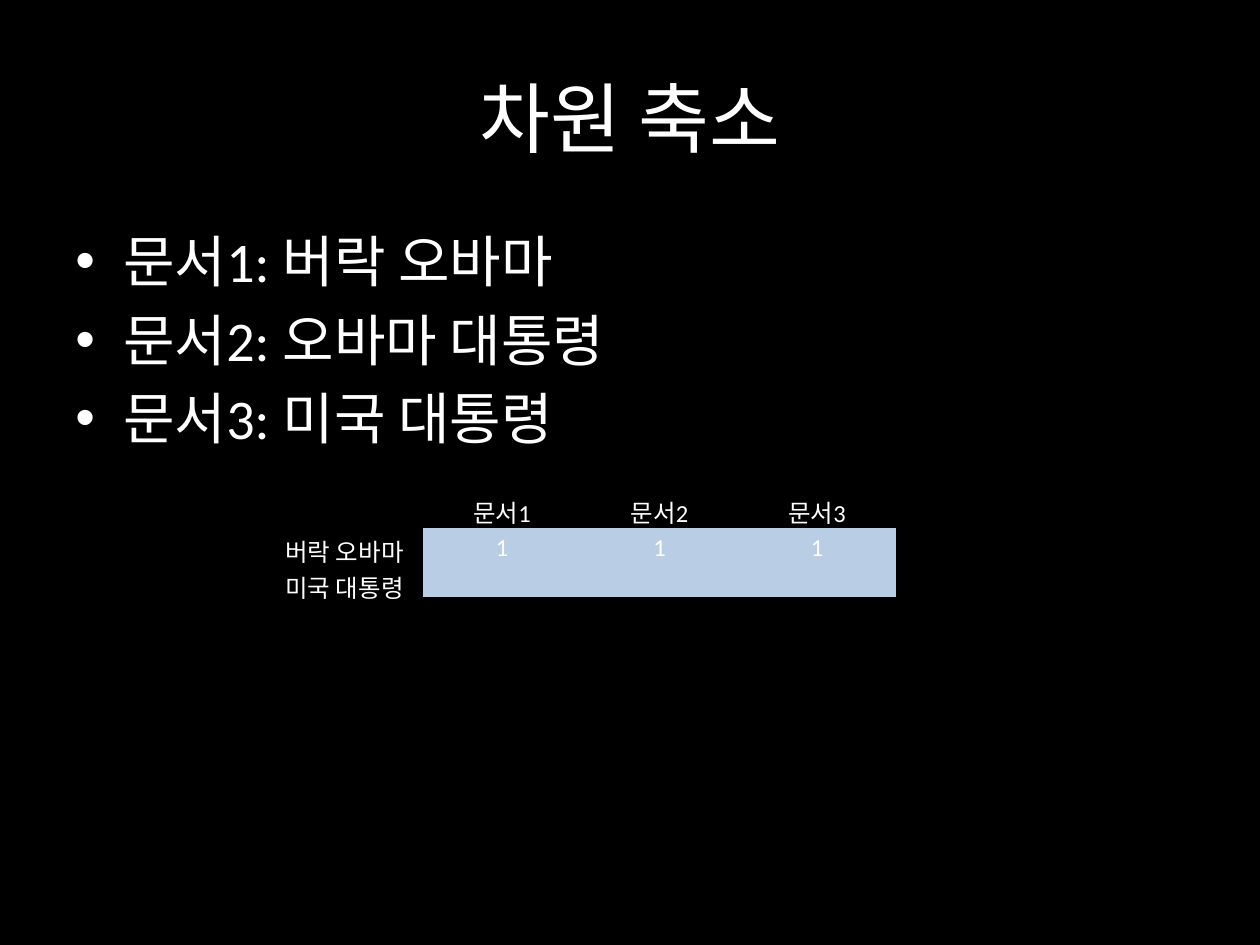
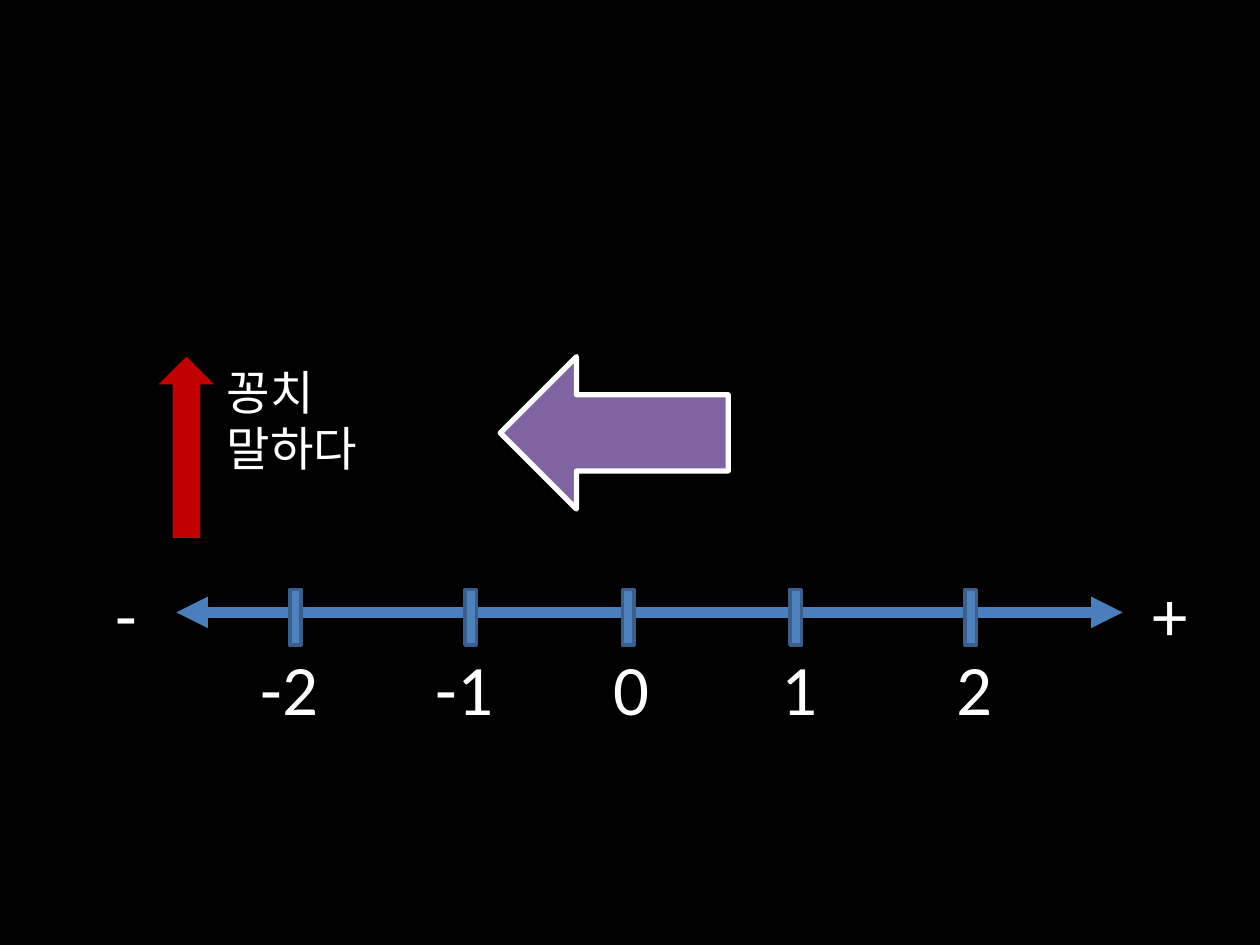
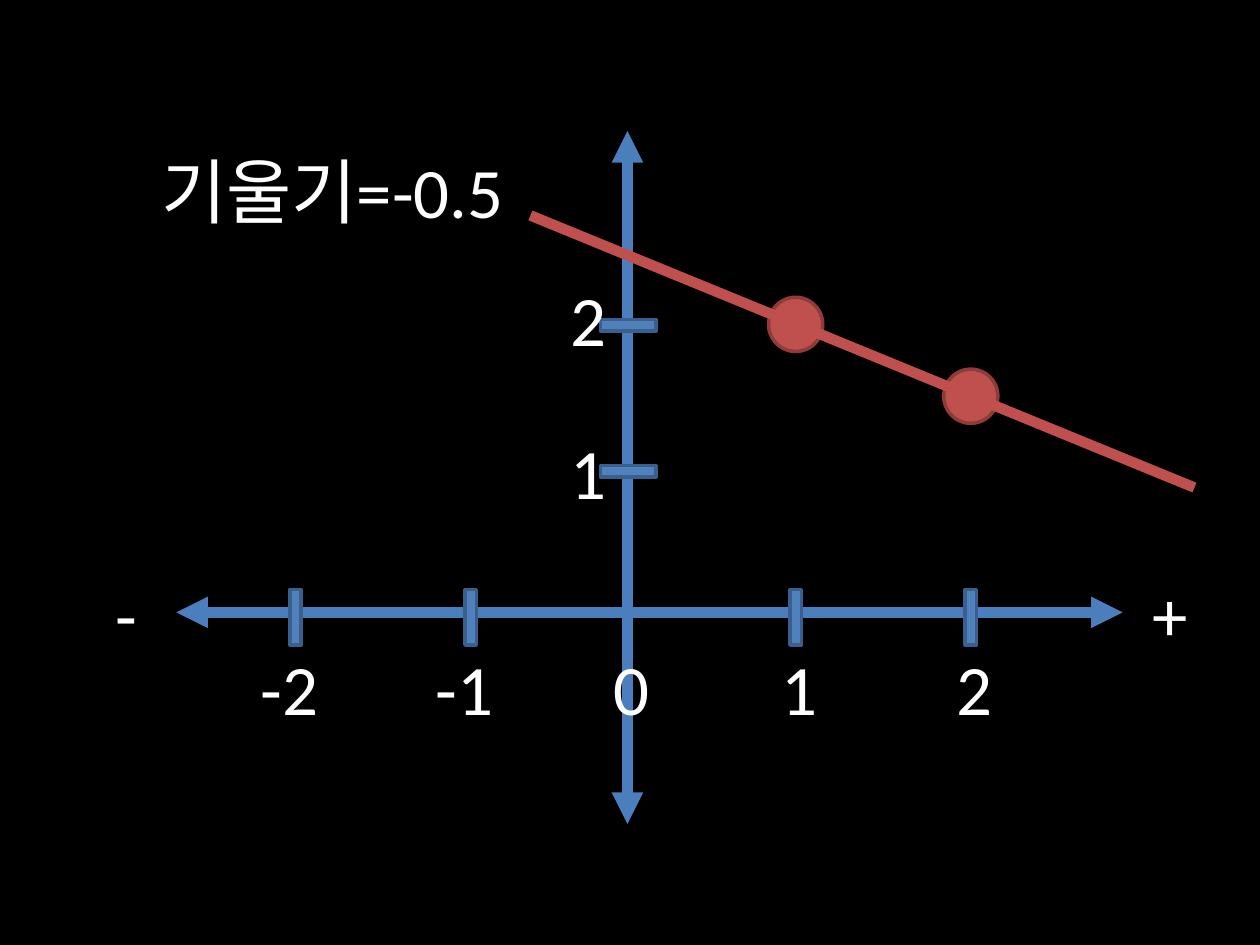
from dataclasses import dataclass

from lxml import etree
from pptx import Presentation
from pptx.dml.color import RGBColor
from pptx.enum.shapes import MSO_CONNECTOR, MSO_SHAPE
from pptx.enum.text import MSO_ANCHOR, MSO_AUTO_SIZE, PP_ALIGN
from pptx.oxml.ns import qn
from pptx.util import Inches, Pt

STRAIGHT = MSO_CONNECTOR.STRAIGHT
RECT, OVAL = MSO_SHAPE.RECTANGLE, MSO_SHAPE.OVAL
RIGHT_ARROW, UP_ARROW = MSO_SHAPE.RIGHT_ARROW, MSO_SHAPE.UP_ARROW
MIDDLE, TOP = MSO_ANCHOR.MIDDLE, MSO_ANCHOR.TOP
LEFT, CENTER = PP_ALIGN.LEFT, PP_ALIGN.CENTER
FIT_TEXT = MSO_AUTO_SIZE.SHAPE_TO_FIT_TEXT

BLACK = RGBColor(0x00, 0x00, 0x00)
WHITE = RGBColor(0xFF, 0xFF, 0xFF)
AXIS_BLUE = RGBColor(0x4B, 0x7E, 0xBC)
TICK_BLUE = RGBColor(0x4F, 0x81, 0xBD)
TICK_EDGE = RGBColor(0x3A, 0x5F, 0x8C)
POINT_RED = RGBColor(0xC0, 0x50, 0x4D)
POINT_EDGE = RGBColor(0x8E, 0x3B, 0x39)
ARROW_RED = RGBColor(0xC0, 0x00, 0x00)
PURPLE = RGBColor(0x80, 0x64, 0xA2)
CELL_BLUE = RGBColor(0xB9, 0xCD, 0xE5)

FONT = "Calibri"
LABEL_SIZE = 40.5
LABEL_HEIGHT = 0.78
AXIS_Y, AXIS_X = 4.86, 4.98
TICK_WIDTH, TICK_HEIGHT = 0.09, 0.44
PLAIN_TABLE = "{2D5ABB26-0587-4C30-8999-92F81FD0307C}"


@dataclass
class Box:
    left: float
    top: float
    width: float
    height: float

    def lengths(self) -> list:
        return [Inches(v) for v in (self.left, self.top, self.width, self.height)]


@dataclass
class Style:
    fill: RGBColor
    edge: RGBColor | None = None
    edge_width: float = 2


@dataclass
class XTick:
    label: str
    left: float


@dataclass
class YTick:
    label: str
    top: float
    label_top: float


TICK = Style(TICK_BLUE, TICK_EDGE)
POINT = Style(POINT_RED, POINT_EDGE)
X_TICKS = [XTick("0", 4.94), XTick("1", 6.27), XTick("2", 7.66),
           XTick("-2", 2.3), XTick("-1", 3.69)]
Y_TICKS = [YTick("1", 3.52, 3.35), YTick("2", 2.36, 2.14)]
POINTS = [(6.1, 2.36), (7.49, 2.93)]


def add_slide(prs):
    s = prs.slides.add_slide(prs.slide_layouts[6])
    s.background.fill.solid()
    s.background.fill.fore_color.rgb = BLACK
    return s


def write(p, text: str, size: float, align=LEFT) -> None:
    p.alignment = align
    r = p.add_run()
    r.text = text
    for name, value in {"name": FONT, "size": Pt(size)}.items():
        setattr(r.font, name, value)
    r.font.color.rgb = WHITE


def add_text(s, box: Box, lines: list[str], size: float = LABEL_SIZE,
             align=LEFT, anchor=TOP, wrap: bool = False):
    tf = s.shapes.add_textbox(*box.lengths()).text_frame
    tf.word_wrap = wrap
    tf.vertical_anchor = anchor
    if not wrap:
        tf.auto_size = FIT_TEXT
    for i, line in enumerate(lines):
        p = tf.paragraphs[0] if i == 0 else tf.add_paragraph()
        write(p, line, size, align)
    return tf


def add_bullets(s, box: Box, lines: list[str], size: float) -> None:
    tf = add_text(s, box, lines, size, wrap=True)
    for i, p in enumerate(tf.paragraphs):
        pPr = p._p.get_or_add_pPr()
        pPr.set("marL", str(Inches(0.38)))
        pPr.set("indent", str(-Inches(0.38)))
        etree.SubElement(pPr, qn("a:buFont"), typeface="Arial")
        etree.SubElement(pPr, qn("a:buChar"), char="•")
        if i:
            p.space_before = Pt(0.2 * size)


def add_figure(s, kind, box: Box, style: Style, rotation: float = 0) -> None:
    sp = s.shapes.add_shape(kind, *box.lengths())
    sp.shadow.inherit = False
    sp.rotation = rotation
    sp.fill.solid()
    sp.fill.fore_color.rgb = style.fill
    if style.edge is None:
        sp.line.fill.background()
    else:
        sp.line.color.rgb = style.edge
        sp.line.width = Pt(style.edge_width)


def add_line(s, start: tuple, end: tuple, color: RGBColor, arrows: bool = False) -> None:
    line = s.shapes.add_connector(STRAIGHT, *(Inches(v) for v in start + end))
    line.line.color.rgb = color
    line.line.width = Pt(6)
    if arrows:
        ln = line.line._get_or_add_ln()
        for end_tag in ("a:headEnd", "a:tailEnd"):
            etree.SubElement(ln, qn(end_tag), type="triangle")
    etree.SubElement(line._element.spPr, qn("a:effectLst"))


def add_number_line(s, zero_tick: bool) -> None:
    add_line(s, (1.4, AXIS_Y), (8.91, AXIS_Y), AXIS_BLUE, arrows=True)
    add_text(s, Box(9.05, 4.48, 0.48, LABEL_HEIGHT), ["+"])
    add_text(s, Box(0.82, 4.48, 0.38, LABEL_HEIGHT), ["-"])
    for tick in X_TICKS:
        if zero_tick or tick.label != "0":
            add_figure(s, RECT, Box(tick.left, 4.68, TICK_WIDTH, TICK_HEIGHT), TICK)
    for tick in X_TICKS:
        # A minus sign widens the label and moves it to the left
        offset, width = (0.33, 0.66) if tick.label.startswith("-") else (0.17, 0.49)
        add_text(s, Box(tick.left - offset, 5.07, width, LABEL_HEIGHT), [tick.label])


def add_term_table(s, rows: list[list[str]]) -> None:
    box = Box(2.11, 3.88, 5, 0.83)
    table = s.shapes.add_table(len(rows), len(rows[0]), *box.lengths()).table
    table._tbl.tblPr.find(qn("a:tableStyleId")).text = PLAIN_TABLE
    table.first_row = table.horz_banding = False
    for row, height in zip(table.rows, (0.3, 0.53)):
        row.height = Inches(height)
    margins = {"margin_left": 0.07, "margin_right": 0.07,
               "margin_top": 0.04, "margin_bottom": 0.04}
    for i, row in enumerate(rows):
        for j, text in enumerate(row):
            cell = table.cell(i, j)
            for name, value in margins.items():
                setattr(cell, name, Inches(value))
            if i and j:
                cell.fill.solid()
                cell.fill.fore_color.rgb = CELL_BLUE
            else:
                cell.fill.background()
            p = cell.text_frame.paragraphs[0]
            if text:
                write(p, text, 14, CENTER)
            else:
                etree.SubElement(p._p, qn("a:endParaRPr"), sz="1400")


def build_reduction(prs) -> None:
    s = add_slide(prs)
    add_text(s, Box(0.5, 0.3, 9, 1.25), ["차원 축소"], 44, CENTER, MIDDLE, wrap=True)
    add_bullets(s, Box(0.5, 1.75, 9, 4.95),
                ["문서1: 버락 오바마", "문서2: 오바마 대통령", "문서3: 미국 대통령"], 32)
    add_term_table(s, [["", "문서1", "문서2", "문서3"],
                       ["버락 오바마 미국 대통령", "1", "1", "1"]])


def build_number_line(prs) -> None:
    s = add_slide(prs)
    add_number_line(s, zero_tick=True)
    add_figure(s, RIGHT_ARROW, Box(3.97, 2.83, 1.81, 1.21), Style(PURPLE, WHITE, 3), 180)
    add_text(s, Box(1.7, 2.83, 1.34, 1.01), ["꽁치", "말하다"], 27)
    add_figure(s, UP_ARROW, Box(1.26, 2.83, 0.44, 1.44), Style(ARROW_RED))


def build_slope(prs) -> None:
    s = add_slide(prs)
    add_line(s, (AXIS_X, 6.54), (AXIS_X, 1.04), AXIS_BLUE, arrows=True)
    add_number_line(s, zero_tick=False)
    for tick in Y_TICKS:
        add_figure(s, RECT, Box(4.94, tick.top, TICK_WIDTH, TICK_HEIGHT), TICK, 270)
        add_text(s, Box(4.43, tick.label_top, 0.49, LABEL_HEIGHT), [tick.label])
    # Sloped line through two points
    for left, top in POINTS:
        add_figure(s, OVAL, Box(left, top, 0.43, 0.43), POINT)
    add_line(s, (9.48, 3.87), (4.21, 1.71), POINT_RED)
    add_text(s, Box(1.18, 1.12, 3.08, LABEL_HEIGHT), ["기울기=-0.5"])


def main() -> None:
    prs = Presentation()
    prs.slide_width, prs.slide_height = Inches(10), Inches(7.5)
    build_reduction(prs)
    build_number_line(prs)
    build_slope(prs)
    prs.save("out.pptx")


if __name__ == "__main__":
    main()
